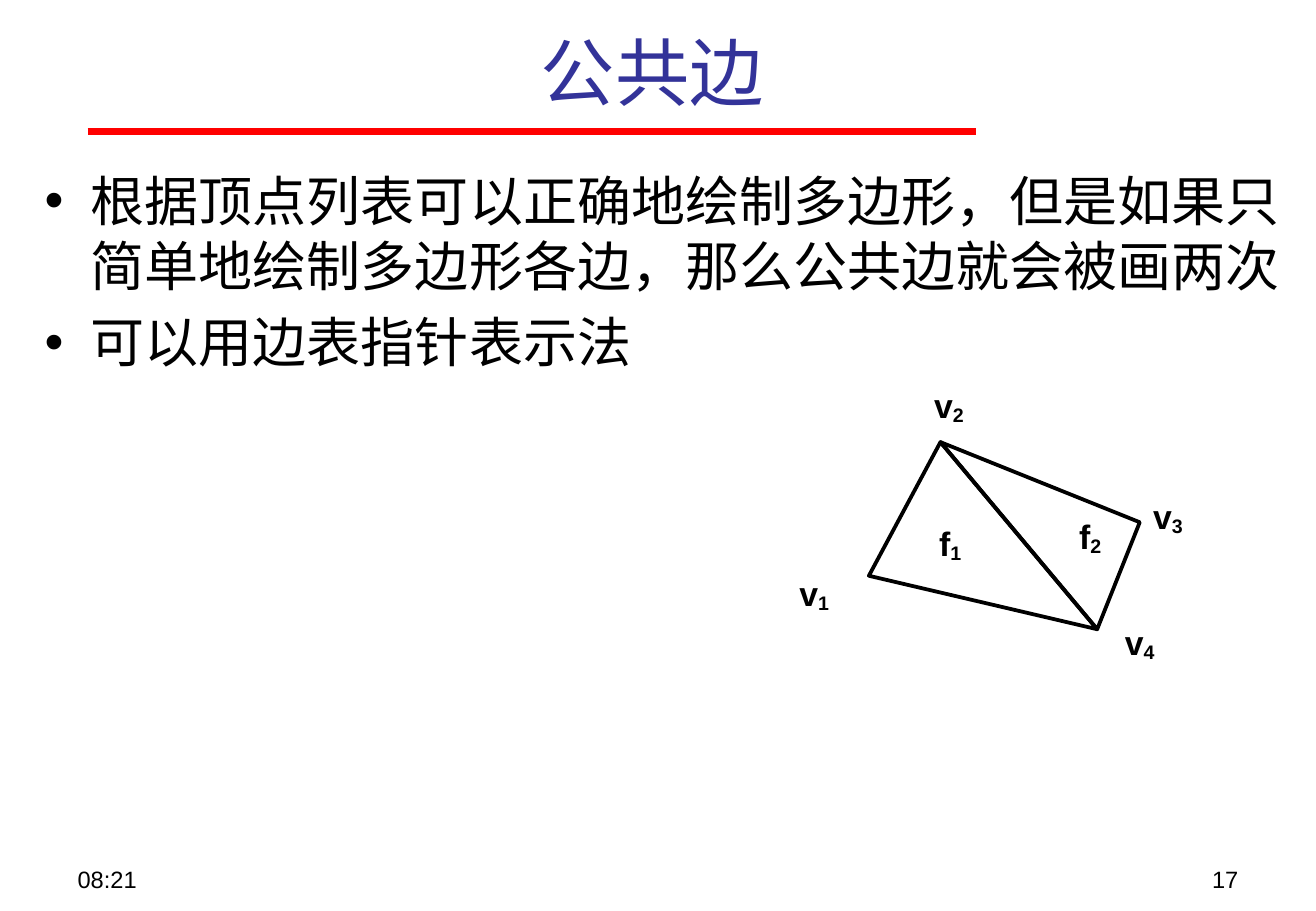
from dataclasses import dataclass

from lxml import etree
from pptx import Presentation
from pptx.dml.color import RGBColor
from pptx.enum import shapes, text
from pptx.oxml.ns import qn
from pptx.util import Emu, Inches, Pt


@dataclass(frozen=True)
class Theme:
    title_color: str = "333399"
    rule_color: str = "FF0000"
    ink: str = "000000"
    sans: str = "Arial"
    serif: str = "Times New Roman"
    title: int = 44
    body: int = 32
    label: int = 20
    footer: int = 14
    body_gap: int = 7
    rule_width: float = 4
    edge_width: float = 2.25


@dataclass(frozen=True)
class Box:
    x: int
    y: int
    w: int
    h: int

    def point(self, x, y):
        """Position given in percent of this box."""
        return Emu(round(self.x + self.w * x / 100)), Emu(round(self.y + self.h * y / 100))

    def inner(self, x, y, w, h):
        """Inner box given in percent of this box."""
        left, top = self.point(x, y)
        return Box(left, top, Emu(round(self.w * w / 100)), Emu(round(self.h * h / 100)))


THEME = Theme()
LEFT, CENTER, RIGHT = text.PP_ALIGN.LEFT, text.PP_ALIGN.CENTER, text.PP_ALIGN.RIGHT
TOP, MIDDLE = text.MSO_ANCHOR.TOP, text.MSO_ANCHOR.MIDDLE


def add_text_frame(parent, box, anchor=TOP, wrap=True):
    tf = parent.shapes.add_textbox(box.x, box.y, box.w, box.h).text_frame
    tf.word_wrap = wrap
    tf.vertical_anchor = anchor
    return tf


def add_run(p, words, size, font=THEME.sans, color=THEME.ink, bold=False):
    r = p.add_run()
    r.text = words
    r.font.size = Pt(size)
    r.font.name = font
    r.font.bold = bold
    r.font.color.rgb = RGBColor.from_string(color)
    return r


def add_bullet(p):
    pPr = p._p.get_or_add_pPr()
    pPr.set("marL", str(Inches(0.38)))
    pPr.set("indent", str(-Inches(0.38)))
    etree.SubElement(pPr, qn("a:buFont")).set("typeface", THEME.sans)
    etree.SubElement(pPr, qn("a:buChar")).set("char", "•")


def add_header(slide, box, title):
    rule = slide.shapes.add_connector(
        shapes.MSO_CONNECTOR.STRAIGHT, *box.point(6.65, 100), *box.point(74.15, 100))
    rule.line.color.rgb = RGBColor.from_string(THEME.rule_color)
    rule.line.width = Pt(THEME.rule_width)
    etree.SubElement(rule._element.spPr, qn("a:effectLst"))
    p = add_text_frame(slide, box.inner(1.66, 7.4, 95.84, 92.6), MIDDLE).paragraphs[0]
    p.alignment = CENTER
    add_run(p, title, THEME.title, color=THEME.title_color)


def add_bullets(slide, box, items):
    tf = add_text_frame(slide, box)
    for i, item in enumerate(items):
        p = tf.add_paragraph() if i else tf.paragraphs[0]
        add_bullet(p)
        if i:
            p.space_before = Pt(THEME.body_gap)
        add_run(p, item, THEME.body, THEME.serif)


def add_label(parent, box, letter, index):
    p = add_text_frame(parent, box, MIDDLE, wrap=False).paragraphs[0]
    p.alignment = CENTER
    add_run(p, letter, THEME.label, bold=True)
    r = add_run(p, index, THEME.label, bold=True)
    r._r.get_or_add_rPr().set("baseline", "-12000")


def add_face(parent, corners):
    builder = parent.shapes.build_freeform(*corners[0])
    builder.add_line_segments(corners[1:], close=True)
    sp = builder.convert_to_shape()
    sp.shadow.inherit = False
    sp.fill.background()
    sp.line.color.rgb = RGBColor.from_string(THEME.ink)
    sp.line.width = Pt(THEME.edge_width)


def add_mesh(slide, box):
    """Two triangles that share the edge from v2 to v4."""
    vertices = {"v1": (23.9, 66.8), "v2": (39.2, 23.3),
                "v3": (81.8, 49.4), "v4": (72.7, 84.2)}
    faces = [("v2", "v1", "v4"), ("v2", "v3", "v4")]
    label_centers = {"v1": (12.2, 72.5), "v2": (41, 11.3), "v3": (87.8, 47.6),
                     "v4": (81.8, 88.7), "f1": (41.3, 56.3), "f2": (71.2, 54)}
    label_w, label_h = 24.4, 22.5
    group = slide.shapes.add_group_shape()
    for face in faces:
        add_face(group, [box.point(*vertices[name]) for name in face])
    for (letter, index), (x, y) in label_centers.items():
        label_box = box.inner(x - label_w / 2, y - label_h / 2, label_w, label_h)
        add_label(group, label_box, letter, index)


def add_footer(slide, box, time, number):
    width = 25.9
    for x, words, align in ((0, time, LEFT), (100 - width, number, RIGHT)):
        p = add_text_frame(slide, box.inner(x, 0, width, 100)).paragraphs[0]
        p.alignment = align
        add_run(p, words, THEME.footer)


def main():
    prs = Presentation()
    prs.slide_width, prs.slide_height = Inches(10.83), Inches(7.5)
    slide = prs.slides.add_slide(prs.slide_layouts[6])
    page = Box(0, 0, prs.slide_width, prs.slide_height)

    add_header(slide, page.inner(0, 0, 100, 14.4), "公共边")
    add_bullets(slide, page.inner(2.49, 17.73, 95.84, 30.53), [
        "根据顶点列表可以正确地绘制多边形，但是如果只简单地绘制多边形各边，那么公共边就会被画两次",
        "可以用边表指针表示法",
    ])
    add_footer(slide, page.inner(4.99, 94.27, 90.02, 4.67), "08:21", "17")
    add_mesh(slide, page.inner(57.53, 40.67, 35.55, 33.73))
    prs.save("out.pptx")


if __name__ == "__main__":
    main()
